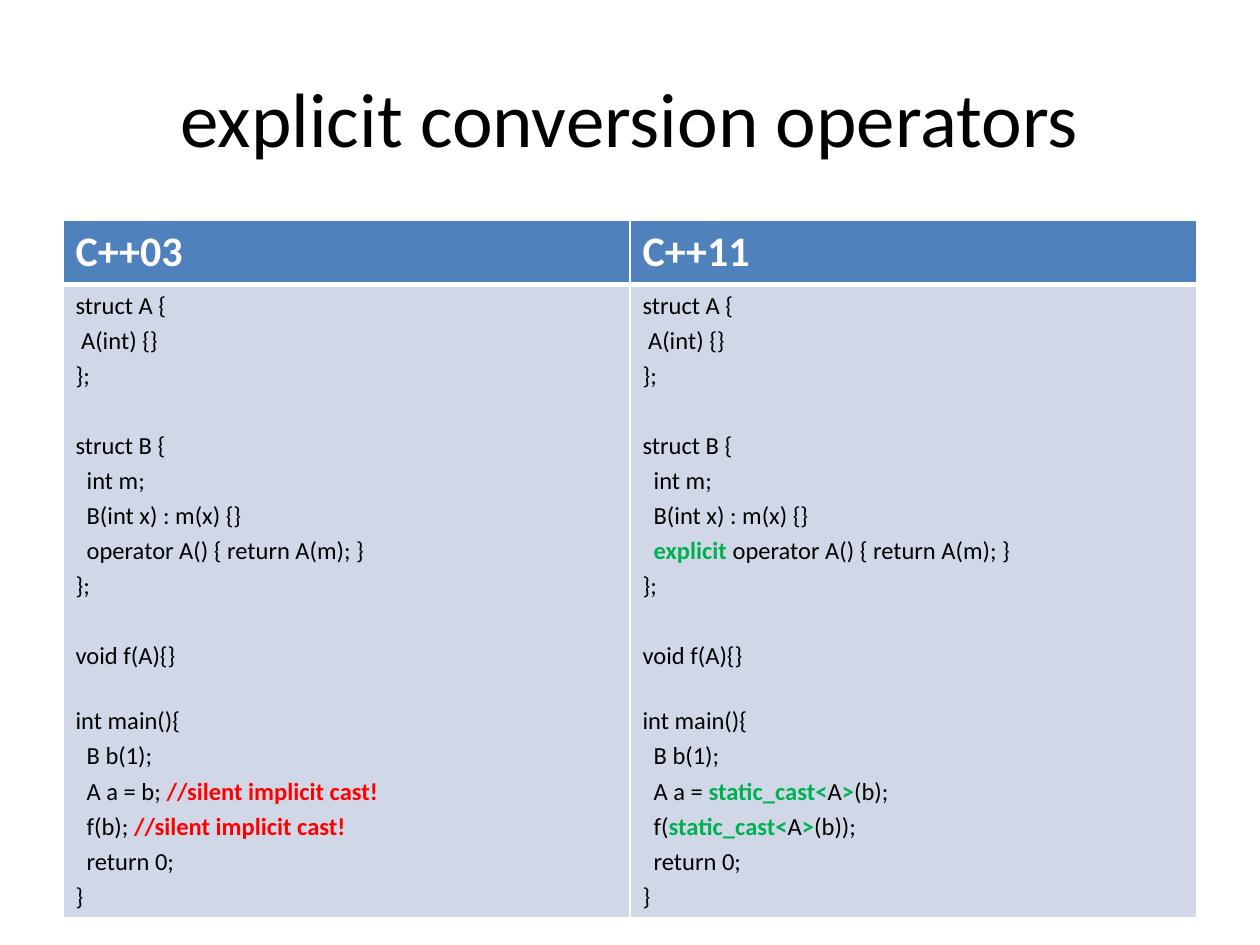
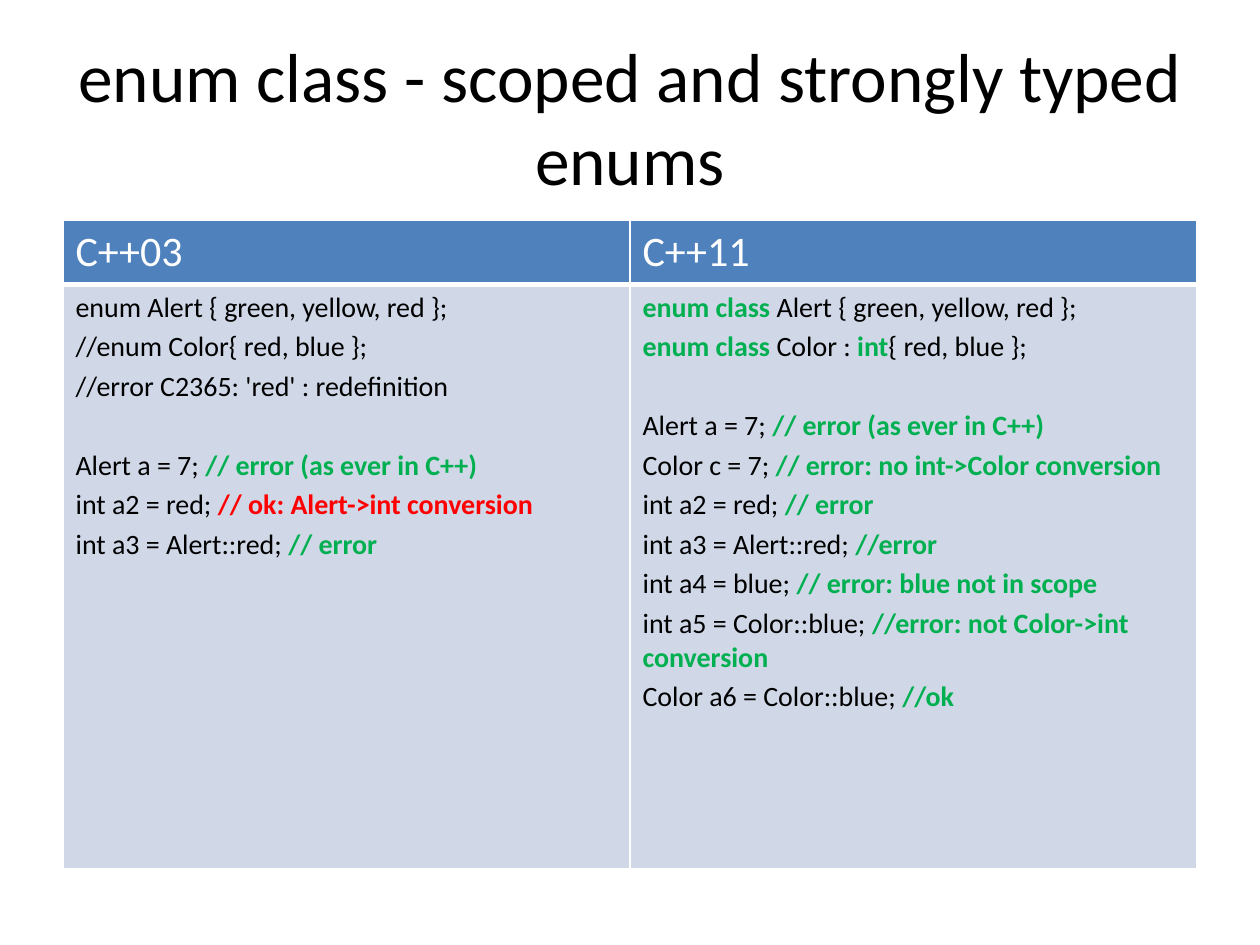
from dataclasses import dataclass

from lxml import etree
from pptx import Presentation
from pptx import util as u
from pptx.dml.color import RGBColor
from pptx.enum import text as t
from pptx.oxml import ns

FONT = "Calibri"
COLORS = {
    "ink": "000000",
    "paper": "FFFFFF",
    "header": "4F81BD",
    "body": "D0D8E8",
    "good": "00B050",
    "bad": "FF0000",
}
HEADINGS = ("C++03", "C++11")
LEFT, WIDTH = u.Inches(0.5), u.Inches(9)
TITLE_TOP, TITLE_HEIGHT = u.Inches(0.3), u.Inches(1.25)
TABLE_TOP, HEADER_HEIGHT = u.Inches(1.75), u.Inches(0.5)
LINE_GAP = 3
SPACE_WIDTH = 0.226


@dataclass(frozen=True)
class Span:
    text: str
    color: str = "ink"
    bold: bool = False


@dataclass(frozen=True)
class Line:
    spans: tuple[Span, ...]
    before: float = LINE_GAP
    indent: int = 0


@dataclass(frozen=True)
class Comparison:
    title: str
    title_size: float
    header_bold: bool
    code_size: float
    body_height: float
    columns: tuple[list[Line], list[Line]]


def good(text: str) -> Span:
    return Span(text, "good", True)


def bad(text: str) -> Span:
    return Span(text, "bad", True)


def line(*parts: str | Span, before: float = LINE_GAP, indent: int = 0) -> Line:
    spans = tuple(Span(part) if isinstance(part, str) else part for part in parts)
    return Line(spans, before, indent)


def conversion_code(operator: Line, statements: list[Line]) -> list[Line]:
    return [
        line("struct A {"),
        line("A(int) {}", indent=1),
        line("};"),
        line("struct B {", before=23.1),
        line("int m;", indent=2),
        line("B(int x) : m(x) {}", indent=2),
        operator,
        line("};"),
        line("void f(A){}", before=23.1),
        line("int main(){", before=20.1),
        line("B b(1);", indent=2),
        *statements,
        line("return 0;", indent=2),
        line("}"),
    ]


OPERATOR = "operator A() { return A(m); }"
CAST = (good("static_cast<"), "A", good(">"))
WARNING = bad("//silent implicit cast!")

COMPARISONS = [
    Comparison(
        "explicit conversion operators", 44, True, 14, 4.97,
        (
            conversion_code(
                line(OPERATOR, indent=2),
                [
                    line("A a = b; ", WARNING, indent=2),
                    line("f(b); ", WARNING, indent=2),
                ],
            ),
            conversion_code(
                line(good("explicit"), " " + OPERATOR, indent=2),
                [
                    line("A a = ", *CAST, "(b);", indent=2),
                    line("f(", *CAST, "(b));", indent=2),
                ],
            ),
        ),
    ),
    Comparison(
        "enum class - scoped and strongly typed enums", 39.6, False, 16, 4.64,
        (
            [
                line("enum Alert { green, yellow, red };"),
                line("//enum Color{ red, blue };"),
                line("//error C2365: 'red' : redefinition"),
                line("Alert a = 7; ", good("// error (as ever in C++)"), before=25.5),
                line("int a2 = red; ", bad("// ok: Alert->int conversion")),
                line("int a3 = Alert::red; ", good("// error")),
            ],
            [
                line(good("enum class"), " Alert { green, yellow, red };"),
                line(good("enum class"), " Color : ", good("int"), "{ red, blue };"),
                line("Alert a = 7; ", good("// error (as ever in C++)"), before=25.5),
                line("Color c = 7; ", good("// error: no int->Color conversion")),
                line("int a2 = red; ", good("// error")),
                line("int a3 = Alert::red; ", good("//error")),
                line("int a4 = blue; ", good("// error: blue not in scope")),
                line("int a5 = Color::blue; ", good("//error: not Color->int conversion")),
                line("Color a6 = Color::blue; ", good("//ok")),
            ],
        ),
    ),
]


def add_text(para, text: str, *, size: float, color: str = "ink", bold: bool = False) -> None:
    span = para.add_run()
    span.text = text
    span.font.name = FONT
    span.font.size = u.Pt(size)
    span.font.bold = bold
    span.font.color.rgb = RGBColor.from_string(COLORS[color])


def add_code(frame, lines: list[Line], size: float) -> None:
    for index, entry in enumerate(lines):
        para = frame.add_paragraph() if index else frame.paragraphs[0]
        para.space_before = u.Pt(entry.before)
        margin = u.Pt(entry.indent * SPACE_WIDTH * size)
        para._p.get_or_add_pPr().set("marL", str(int(margin)))
        for span in entry.spans:
            add_text(para, span.text, size=size, color=span.color, bold=span.bold)


def style_cell(cell, fill: str, top: float, bottom: float) -> None:
    properties = cell._tc.get_or_add_tcPr()
    for side, width in (("lnL", 1), ("lnR", 1), ("lnT", top), ("lnB", bottom)):
        border = etree.SubElement(properties, ns.qn(f"a:{side}"), w=str(int(u.Pt(width))))
        solid = etree.SubElement(border, ns.qn("a:solidFill"))
        etree.SubElement(solid, ns.qn("a:srgbClr"), val=COLORS["paper"])
    cell.fill.solid()
    cell.fill.fore_color.rgb = RGBColor.from_string(COLORS[fill])


def add_title(page, text: str, size: float) -> None:
    box = page.shapes.title
    box.left, box.top, box.width, box.height = LEFT, TITLE_TOP, WIDTH, TITLE_HEIGHT
    frame = box.text_frame
    frame.auto_size = t.MSO_AUTO_SIZE.NONE
    frame.vertical_anchor = t.MSO_ANCHOR.MIDDLE
    para = frame.paragraphs[0]
    para.alignment = t.PP_ALIGN.CENTER
    add_text(para, text, size=size)


def add_comparison(deck, comparison: Comparison) -> None:
    page = deck.slides.add_slide(deck.slide_layouts.get_by_name("Title Only"))
    add_title(page, comparison.title, comparison.title_size)
    body_height = u.Inches(comparison.body_height)
    table = page.shapes.add_table(
        2, len(HEADINGS), LEFT, TABLE_TOP, WIDTH, HEADER_HEIGHT + body_height
    ).table
    table.rows[0].height, table.rows[1].height = HEADER_HEIGHT, body_height
    for column, (heading, code) in enumerate(zip(HEADINGS, comparison.columns)):
        header, body = table.cell(0, column), table.cell(1, column)
        style_cell(header, "header", top=1, bottom=3)
        style_cell(body, "body", top=3, bottom=1)
        add_text(header.text_frame.paragraphs[0], heading, size=24,
                 color="paper", bold=comparison.header_bold)
        add_code(body.text_frame, code, comparison.code_size)


def main() -> None:
    deck = Presentation()
    deck.slide_width, deck.slide_height = u.Inches(10), u.Inches(7.5)
    for comparison in COMPARISONS:
        add_comparison(deck, comparison)
    deck.save("out.pptx")


if __name__ == "__main__":
    main()
